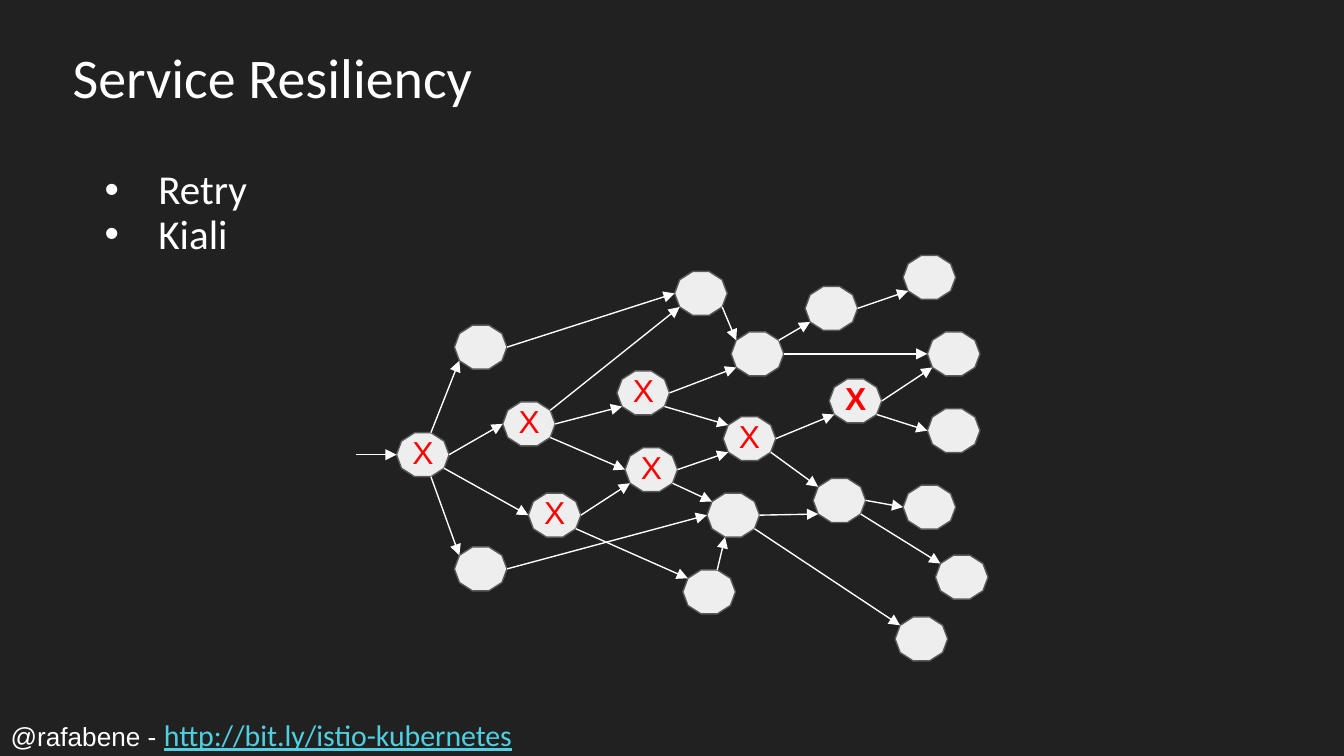
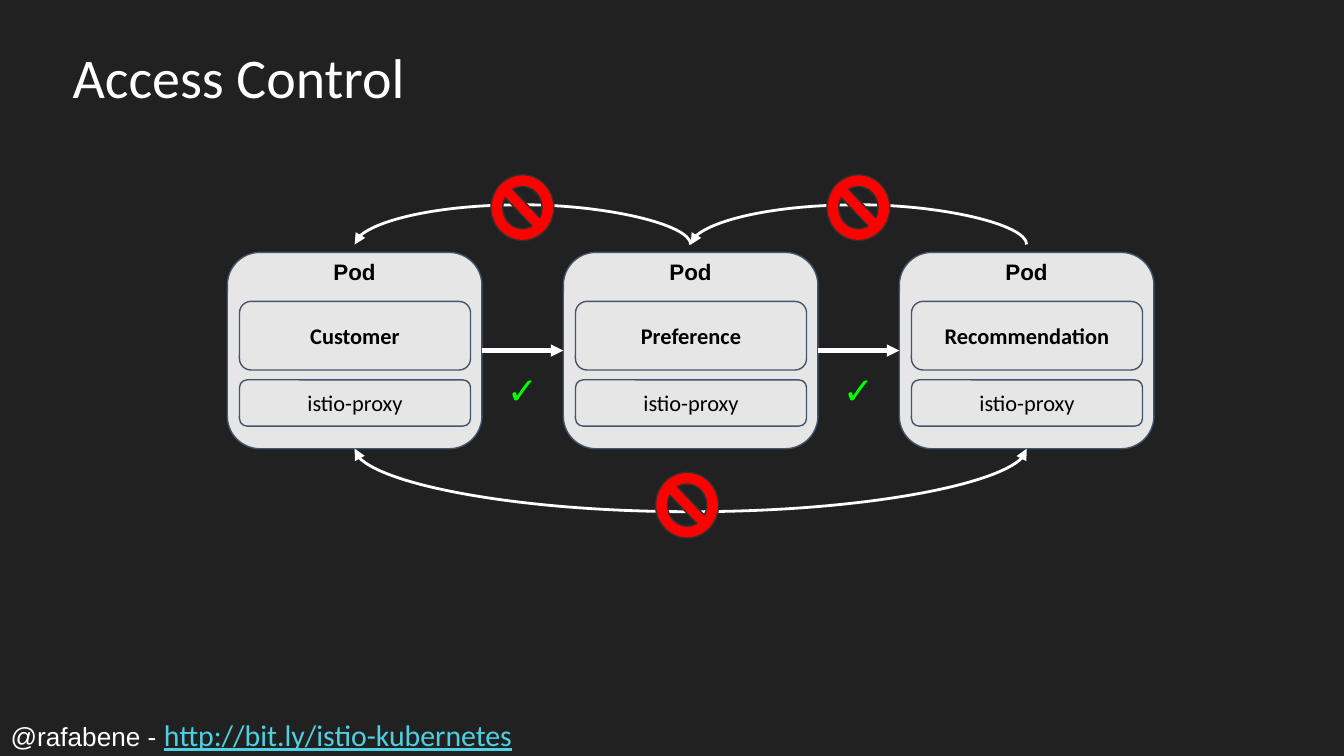
from math import cos, pi, sin

from lxml import etree
from pptx import Presentation
from pptx.dml.color import RGBColor
from pptx.enum import shapes, text
from pptx.oxml import ns
from pptx.util import Pt

BACKDROP = RGBColor(0x21, 0x21, 0x21)
WHITE = RGBColor(0xFF, 0xFF, 0xFF)
BLACK = RGBColor(0, 0, 0)
RED = RGBColor(0xFF, 0, 0)
GREEN = RGBColor(0, 0xFF, 0)
LINK = RGBColor(0x4D, 0xD0, 0xE1)
SERVICE_FILL = RGBColor(0xEE, 0xEE, 0xEE)
SERVICE_EDGE = RGBColor(0x59, 0x59, 0x59)
POD_FILL = RGBColor(0xE7, 0xE6, 0xE6)
POD_EDGE = RGBColor(0x44, 0x54, 0x6A)
BAN_EDGE = RGBColor(0x30, 0x30, 0x30)

TITLE = {"name": "Calibri", "size": Pt(30)}
BULLET = {"name": "Calibri", "size": Pt(22)}
HANDLE = {"name": "Arial", "size": Pt(14)}
ADDRESS = {"name": "Calibri", "size": Pt(16), "underline": True}
FAILURE = {"name": "Arial", "size": Pt(17)}
POD_NAME = {"name": "Arial", "size": Pt(12), "bold": True}
CONTAINER = {"name": "Calibri", "size": Pt(12), "bold": True}
PROXY = {"name": "Calibri", "size": Pt(12), "bold": False}
CHECK = {"name": "Arial", "size": Pt(20)}
FRAME = {"margin_left": Pt(7.2), "margin_right": Pt(7.2),
         "margin_top": Pt(7.2), "margin_bottom": Pt(7.2),
         "word_wrap": True, "auto_size": text.MSO_AUTO_SIZE.NONE}

SERVICE_W, SERVICE_H = 28.2, 23.6
SERVICES = {
    "entry": (212.4, 231.8), "a1": (243.4, 174.2), "a2": (269.3, 215.3),
    "a3": (283, 264.2), "a4": (243.4, 293), "b1": (361.4, 145.4),
    "b2": (330.5, 198.7), "b3": (334.8, 239.8), "b4": (365.8, 305.3),
    "c1": (391.7, 177.8), "c2": (387.4, 223.2), "c3": (378.7, 264.2),
    "d1": (431.3, 153.4), "d2": (444.2, 203), "d3": (435.6, 256.3),
    "e1": (483.8, 136.8), "e2": (496.8, 177.8), "e3": (496.8, 218.9),
    "e4": (483.8, 259.9), "e5": (501.1, 297.4), "e6": (479.5, 330.5),
}
CALLS = [
    ("entry", 8, "a1", 4), ("entry", 0, "a2", 5), ("entry", 1, "a3", 5),
    ("entry", 2, "a4", 6), ("a1", 0, "b1", 5), ("a2", 9, "b1", 4),
    ("a2", 0, "b2", 4), ("a2", 1, "b3", 5), ("a3", 0, "b3", 4),
    ("a3", 1, "b4", 6), ("a4", 0, "c3", 5), ("b1", 1, "c1", 6),
    ("b2", 0, "c1", 4), ("b2", 1, "c2", 6), ("b3", 0, "c2", 4),
    ("b3", 1, "c3", 6), ("b4", 8, "c3", 3), ("c1", 9, "d1", 4),
    ("c1", 0, "e2", 5), ("c2", 0, "d2", 4), ("c2", 1, "d3", 6),
    ("c3", 0, "d3", 4), ("c3", 1, "e6", 6), ("d1", 0, "e1", 4),
    ("d2", 0, "e2", 4), ("d2", 1, "e3", 5), ("d3", 0, "e4", 5),
    ("d3", 1, "e5", 6),
]
FAILED = ["d2", "c2", "b3", "b2", "a2", "a3", "entry"]

POD_LEFT, POD_TOP, POD_W, POD_H, POD_STEP = 121.8, 135.2, 136.4, 105.2, 180
ARC_BOX = 0.05


def set_all(target, values):
    for key, value in values.items():
        setattr(target, key, value)


def write(paragraph, words, look, color):
    run = paragraph.add_run()
    run.text = words
    set_all(run.font, look)
    run.font.color.rgb = color


def add_label(slide, box, words, look, color, align=text.PP_ALIGN.LEFT):
    label = slide.shapes.add_textbox(*map(Pt, box))
    set_all(label.text_frame, FRAME)
    paragraph = label.text_frame.paragraphs[0]
    paragraph.alignment = align
    write(paragraph, words, look, color)
    return label


def add_figure(slide, kind, box, fill, edge):
    figure = slide.shapes.add_shape(kind, *map(Pt, box))
    figure.shadow.inherit = False
    figure.fill.solid()
    figure.fill.fore_color.rgb = fill
    figure.line.color.rgb = edge
    figure.line.width = Pt(0.75)
    return figure


def add_arrow(slide, kind, start, end, width, ends=("tailEnd",)):
    arrow = slide.shapes.add_connector(kind, *map(Pt, (*start, *end)))
    arrow.line.color.rgb = WHITE
    arrow.line.width = Pt(width)
    properties = arrow._element.spPr
    for tip in ends:
        etree.SubElement(properties.find(ns.qn("a:ln")), ns.qn(f"a:{tip}"), type="triangle")
    etree.SubElement(properties, ns.qn("a:effectLst"))
    return arrow


def add_arc(slide, left, right, y, bulge, below=False):
    middle, half = (left + right) / 2, (right - left) / 2
    lean = ARC_BOX / 2 if below else -ARC_BOX / 2
    ends = ("headEnd", "tailEnd") if below else ("tailEnd",)
    arc = add_arrow(slide, shapes.MSO_CONNECTOR.CURVE, (middle + lean, y - half),
                    (middle - lean, y + half), 1.5, ends)
    properties = arc._element.spPr
    properties.find(ns.qn("a:xfrm")).set("rot", str((270 if below else 90) * 60000))
    bend = round(bulge / ARC_BOX * 100000) * (1 if below else -1)
    etree.SubElement(properties.find(".//" + ns.qn("a:avLst")), ns.qn("a:gd"),
                     name="adj1", fmla=f"val {bend}")


def add_bullets(slide, box, items):
    frame = slide.shapes.add_textbox(*map(Pt, box)).text_frame
    set_all(frame, FRAME)
    for index, item in enumerate(items):
        paragraph = frame.add_paragraph() if index else frame.paragraphs[0]
        properties = paragraph._p.get_or_add_pPr()
        properties.set("marL", str(Pt(36)))
        properties.set("indent", str(Pt(-28.8)))
        tint = etree.SubElement(properties, ns.qn("a:buClr"))
        etree.SubElement(tint, ns.qn("a:srgbClr"), val=str(WHITE))
        etree.SubElement(properties, ns.qn("a:buFont"), typeface="Arial")
        etree.SubElement(properties, ns.qn("a:buChar"), char="•")
        paragraph.line_spacing = 0.9
        write(paragraph, item, BULLET, WHITE)


def start_slide(deck, heading):
    slide = deck.slides.add_slide(deck.slide_layouts[5])
    footer = add_label(slide, (-1.4, 376.6, 335.5, 28.8), "@rafabene - ", HANDLE, WHITE)
    write(footer.text_frame.paragraphs[0], "http://bit.ly/istio-kubernetes", ADDRESS, LINK)
    title = slide.shapes.title
    set_all(title, {"left": Pt(31.7), "top": Pt(3.6), "width": Pt(620.6), "height": Pt(78.5)})
    set_all(title.text_frame, {**FRAME, "vertical_anchor": text.MSO_ANCHOR.MIDDLE})
    paragraph = title.text_frame.paragraphs[0]
    set_all(paragraph, {"alignment": text.PP_ALIGN.LEFT, "line_spacing": 0.9})
    write(paragraph, heading, TITLE, WHITE)
    return slide


def corner(service, step):
    left, top = SERVICES[service]
    angle = step * pi / 5
    return (left + SERVICE_W / 2 * (1 + cos(angle)),
            top + SERVICE_H / 2 * (1 + sin(angle) / sin(2 * pi / 5)))


def draw_resiliency(deck):
    slide = start_slide(deck, "Service Resiliency")
    add_bullets(slide, (41.8, 83.5, 653.8, 238.3), ["Retry", "Kiali"])
    for left, top in SERVICES.values():
        add_figure(slide, shapes.MSO_SHAPE.DECAGON, (left, top, SERVICE_W, SERVICE_H),
                   SERVICE_FILL, SERVICE_EDGE)
    straight = shapes.MSO_CONNECTOR.STRAIGHT
    x, y = corner("entry", 5)
    add_arrow(slide, straight, (x - 21.6, y), (x, y), 0.75)
    for caller, exit_step, callee, entry_step in CALLS:
        add_arrow(slide, straight, corner(caller, exit_step), corner(callee, entry_step), 0.75)
    for service in FAILED:
        left, top = SERVICES[service]
        add_label(slide, (left + 1.4, top - 7.2, 25.2, 32.4), "X",
                  {**FAILURE, "bold": service == "d2"}, RED)


def add_container(slide, box, words, look):
    container = add_figure(slide, shapes.MSO_SHAPE.ROUNDED_RECTANGLE, box, POD_FILL, POD_EDGE)
    set_all(container.text_frame, {**FRAME, "vertical_anchor": text.MSO_ANCHOR.MIDDLE})
    paragraph = container.text_frame.paragraphs[0]
    paragraph.alignment = text.PP_ALIGN.CENTER
    write(paragraph, words, look, BLACK)


def add_pod(slide, left, service):
    pod = add_figure(slide, shapes.MSO_SHAPE.ROUNDED_RECTANGLE,
                     (left, POD_TOP, POD_W, POD_H), POD_FILL, POD_EDGE)
    add_label(slide, (left, 131, POD_W, 24.5), "Pod", POD_NAME, BLACK, text.PP_ALIGN.CENTER)
    add_container(slide, (left + 6.5, 161.5, 123.8, 36.7), service, CONTAINER)
    add_container(slide, (left + 6.5, 203.5, 123.8, 24.8), "istio-proxy", PROXY)
    return pod


def add_ban(slide, left, top):
    add_figure(slide, shapes.MSO_SHAPE.NO_SYMBOL, (left, top, 33.8, 35.3), RED, BAN_EDGE)


def draw_access(deck):
    slide = start_slide(deck, "Access Control")
    lefts = [POD_LEFT + POD_STEP * index for index in range(3)]
    centers = [left + POD_W / 2 for left in lefts]
    pods = [add_pod(slide, left, service) for left, service in
            zip(lefts, ["Customer", "Preference", "Recommendation"])]
    add_arc(slide, centers[0], centers[2], POD_TOP + POD_H, 29.8, below=True)
    add_ban(slide, 351.2, 253)
    for index in range(2):
        link = add_arrow(slide, shapes.MSO_CONNECTOR.STRAIGHT, (0, 0), (0, 0), 2.25)
        link.begin_connect(pods[index], 3)
        link.end_connect(pods[index + 1], 1)
        add_arc(slide, centers[index], centers[index + 1], 131, 18.75)
        gap_left = 263 + POD_STEP * index
        add_ban(slide, gap_left, 93.6)
        add_label(slide, (gap_left, 189.4, 33.8, 41), "✓", CHECK, GREEN, text.PP_ALIGN.CENTER)


def main():
    deck = Presentation()
    set_all(deck, {"slide_width": Pt(720), "slide_height": Pt(405)})
    backdrop = deck.slide_master.background.fill
    backdrop.solid()
    backdrop.fore_color.rgb = BACKDROP
    draw_resiliency(deck)
    draw_access(deck)
    deck.save("out.pptx")


if __name__ == "__main__":
    main()
